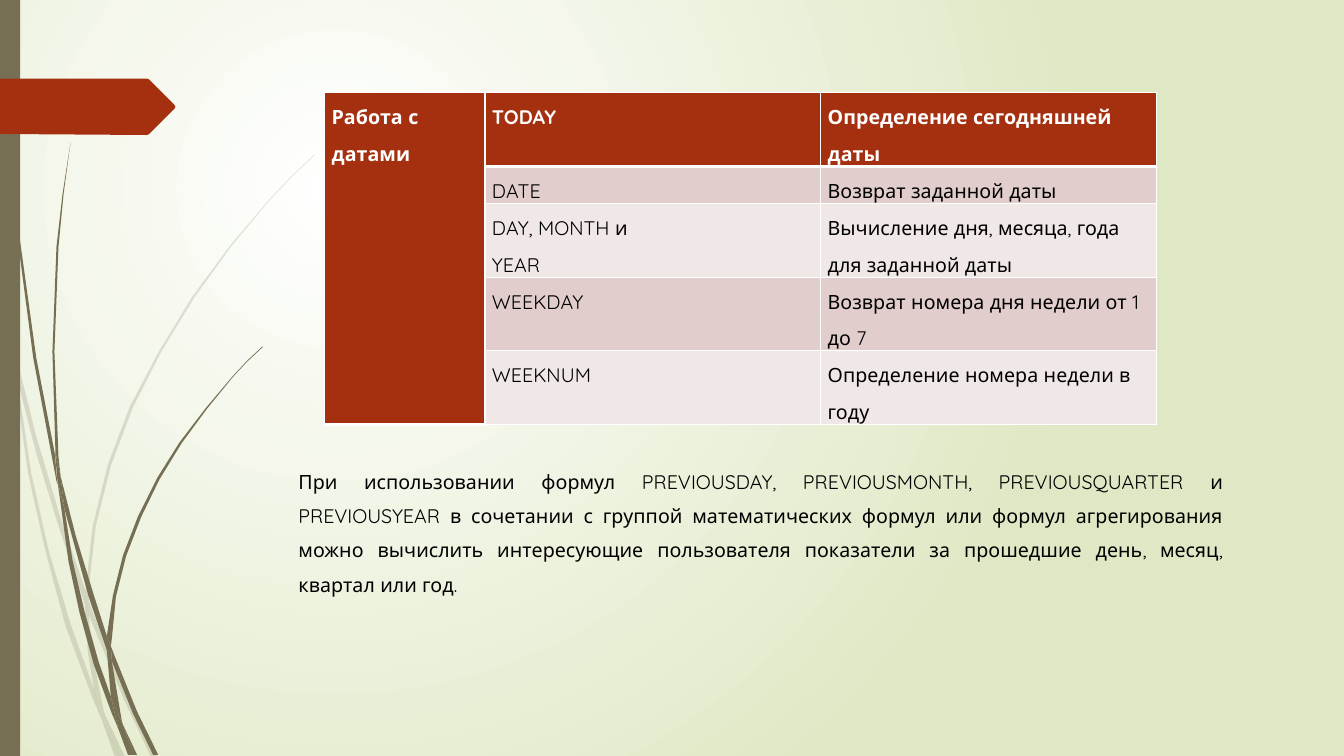
import pptx
import pptx.util
import pptx.dml.color
import pptx.enum.shapes
import pptx.enum.text
import pptx.oxml
import pptx.oxml.ns
from pptx.util import Inches

HUES = {"white": "FFFFFF", "lime": "DFE8C4", "olive": "766F54", "rust": "A53010",
        "rose": "E1CDCC", "pale": "F0E8E7", "black": "000000"}
FONT = "Quicksand"
NS = pptx.oxml.ns.nsdecls("a")

# Outlines of the grass blades, as x,y pairs in inches
BACK = [
    "0.11,3.5 0.09,3.22 0,2.82 0,2.99 0.1,3.44",
    "0.58,5.22 0.84,5.99 0.85,5.86 0.62,5.2 0.36,4.33 0.14,3.45 0.17,3.76 0.36,4.5",
    "0.92,6.07 0.88,5.96 0.88,6.1 1.23,6.94 1.5,7.51 1.55,7.51 1.27,6.92",
    "1.19,7.51 1.24,7.51 1.05,7.11",
    "0.93,6.83 0.7,6.19 0.48,5.45 0.31,4.69 0.17,3.76 0.11,3.5 0.28,4.7 0.45,5.46 "
    "0.65,6.21 0.92,6.93 1.01,7.14 0.99,7.07",
    "0.84,5.99 0.87,6.46 0.93,6.83 0.96,6.92 1.05,7.11 1.03,7.06 0.91,6.46 0.88,6.1 0.88,6.08",
    "0.88,5.84 0.95,5.22 1.1,4.62 1.32,4.04 1.6,3.49 1.93,2.95 2.29,2.45 2.68,1.98 2.9,1.75 "
    "3.12,1.54 3.12,1.53 2.89,1.75 2.68,1.97 2.28,2.44 1.91,2.94 1.58,3.48 1.29,4.03 "
    "1.07,4.61 0.92,5.22 0.85,5.84 0.85,5.86 0.88,5.96",
    "1.01,7.14 1.14,7.51 1.19,7.51",
    "0.88,6.08 0.88,6.1 0.88,5.96 0.85,5.86 0.84,5.99",
    "0.96,6.92 0.93,6.83 0.99,7.07 1.01,7.14 1.19,7.51 1.05,7.11",
]
FRONT = [
    "0.07,1.1 0.17,2.33 0.33,3.55 0.56,4.77 0.57,4.81 0.55,4.57 0.55,4.53 0.36,3.55 "
    "0.19,2.32 0.08,1.09 0.05,0.48 0.04,0 0.03,0 0.04,0.48",
    "0.88,5.92 1.06,6.45 1.06,6.31 0.93,5.9 0.75,5.31 0.6,4.72 0.64,5.05",
    "1.13,6.49 1.1,6.41 1.11,6.56 1.32,7.08 1.52,7.49 1.57,7.49 1.36,7.06",
    "1.1,6.91 0.98,6.57 0.84,6.07 0.72,5.56 0.64,5.05 0.57,4.77 0.68,5.57 0.79,6.08 "
    "0.93,6.59 1.11,7.08 1.17,7.22 1.16,7.17",
    "0.6,4.72 0.58,4.53 0.54,3.49 0.58,2.45 0.63,1.93 0.7,1.41 0.62,1.93 0.56,2.45 "
    "0.52,3.49 0.55,4.49",
    "1.33,7.49 1.36,7.49 1.22,7.19",
    "0.57,4.77 0.64,5.05 0.6,4.72 0.55,4.49 0.55,4.53",
    "1.11,6.33 1.15,5.92 1.25,5.52 1.4,5.13 1.58,4.76 1.8,4.4 2.05,4.06 2.31,3.74 2.45,3.59 "
    "2.61,3.44 2.6,3.44 2.45,3.58 2.31,3.73 2.04,4.05 1.78,4.39 1.56,4.74 1.37,5.12 "
    "1.22,5.51 1.12,5.91 1.06,6.31 1.1,6.41",
    "1.17,7.22 1.27,7.49 1.31,7.49",
    "1.06,6.45 1.1,6.91 1.16,7.06 1.22,7.19 1.21,7.16 1.11,6.56 1.09,6.51",
    "1.06,6.45 1.11,6.56 1.1,6.41 1.06,6.31",
    "1.16,7.06 1.1,6.91 1.16,7.17 1.17,7.22 1.3,7.49 1.33,7.49 1.22,7.19",
]
RIBBON = "0,0.78 1.46,0.78 1.48,0.79 1.73,1.04 1.74,1.06 1.73,1.08 1.48,1.33 1.46,1.34 0,1.33"

GROUP = "Работа с датами"
ROWS = [
    ("TODAY", "Определение сегодняшней даты"),
    ("DATE", "Возврат заданной даты"),
    ("DAY, MONTH и\nYEAR", "Вычисление дня, месяца, года для заданной даты"),
    ("WEEKDAY", "Возврат номера дня недели от 1 до 7"),
    ("WEEKNUM", "Определение номера недели в году"),
]
NOTE = ("При использовании формул PREVIOUSDAY, PREVIOUSMONTH, PREVIOUSQUARTER и PREVIOUSYEAR "
        "в сочетании с группой математических формул или формул агрегирования можно вычислить "
        "интересующие пользователя показатели за прошедшие день, месяц, квартал или год.")


def color(name):
    return pptx.dml.color.RGBColor.from_string(HUES[name])


def paint(shape, name, alpha=None):
    shape.shadow.inherit = False
    shape.fill.solid()
    shape.fill.fore_color.rgb = color(name)
    shape.line.fill.background()
    if alpha:
        tone = shape.element.spPr.find(".//" + pptx.oxml.ns.qn("a:srgbClr"))
        tone.append(pptx.oxml.parse_xml(f'<a:alpha {NS} val="{alpha * 1000}"/>'))


def draw(shapes, text, name, alpha=None):
    dots = [tuple(Inches(float(n)) for n in pair.split(",")) for pair in text.split()]
    form = shapes.build_freeform(*dots[0])
    form.add_line_segments(dots[1:], close=True)
    paint(form.convert_to_shape(), name, alpha)


def glow(slide):
    fill = slide.background.fill
    fill.gradient()
    for stop, name in zip(fill.gradient_stops, ("white", "lime")):
        stop.color.rgb = color(name)
    grad = slide.element.find(".//" + pptx.oxml.ns.qn("a:gradFill"))
    grad.remove(grad.find(pptx.oxml.ns.qn("a:lin")))
    grad.append(pptx.oxml.parse_xml(
        f'<a:path {NS} path="circle"><a:fillToRect l="50000" t="50000" '
        'r="100000" b="100000"/></a:path>'))


def style(para, name, bold=False, space=1.5):
    para.line_spacing = space
    para.space_before = pptx.util.Pt(0)
    font = para.font
    font.name, font.size, font.bold = FONT, pptx.util.Pt(14), bold
    font.color.rgb = color(name)


def edge(cell, head):
    props = cell._tc.get_or_add_tcPr()
    for side in "LRTB":
        width = 38100 if head and side == "B" else 12700
        props.append(pptx.oxml.parse_xml(
            f'<a:ln{side} {NS} w="{width}"><a:solidFill><a:srgbClr val="{HUES["white"]}"/>'
            f'</a:solidFill></a:ln{side}>'))


def put(cell, text, back, head):
    cell.margin_left = cell.margin_right = Inches(0.07)
    cell.margin_top = cell.margin_bottom = 0
    edge(cell, head)
    cell.fill.solid()
    cell.fill.fore_color.rgb = color(back)
    cell.text_frame.text = text
    for para in cell.text_frame.paragraphs:
        style(para, "white" if head else "black", head)


def grid(slide):
    table = slide.shapes.add_table(len(ROWS), 3, Inches(3.22), Inches(0.92),
                                   Inches(8.25), Inches(3.29)).table
    table.first_row = table.horz_banding = False
    for col, width in zip(table.columns, (1.59, 3.33, 3.33)):
        col.width = Inches(width)
    for i, texts in enumerate(ROWS):
        table.rows[i].height = Inches(0.37 if i == 1 else 0.73)
        back = "rust" if i == 0 else ("pale", "rose")[i % 2]
        put(table.cell(i, 0), "" if i else GROUP, "rust", True)
        for j, text in enumerate(texts, 1):
            put(table.cell(i, j), text, back, i == 0)
    table.cell(0, 0).merge(table.cell(len(ROWS) - 1, 0))


def body(slide):
    box = slide.placeholders[1]
    box.left, box.top = Inches(2.86), Inches(4.51)
    box.width, box.height = Inches(9.37), Inches(2.55)
    frame = box.text_frame
    frame.word_wrap = True
    frame.auto_size = pptx.enum.text.MSO_AUTO_SIZE.NONE
    frame.vertical_anchor = pptx.enum.text.MSO_ANCHOR.TOP
    frame.text = NOTE
    para = frame.paragraphs[0]
    props = para._p.get_or_add_pPr()
    props.set("marL", "0")
    props.set("indent", "0")
    props.append(pptx.oxml.parse_xml(f"<a:buNone {NS}/>"))
    para.alignment = pptx.enum.text.PP_ALIGN.JUSTIFY
    style(para, "black", space=1.45)


def main():
    deck = pptx.Presentation()
    deck.slide_width, deck.slide_height = Inches(13.33), Inches(7.5)
    slide = deck.slides.add_slide(deck.slide_layouts[1])
    title = slide.shapes.title.element
    title.getparent().remove(title)
    # Backdrop
    glow(slide)
    for blades, alpha in ((BACK, 20), (FRONT, None)):
        group = slide.shapes.add_group_shape()
        for blade in blades:
            draw(group.shapes, blade, "olive", alpha)
    bar = slide.shapes.add_shape(pptx.enum.shapes.MSO_SHAPE.RECTANGLE, 0, 0,
                                 Inches(0.2), Inches(7.5))
    paint(bar, "olive")
    draw(slide.shapes, RIBBON, "rust")
    # Content
    body(slide)
    grid(slide)
    deck.save("out.pptx")


if __name__ == "__main__":
    main()
